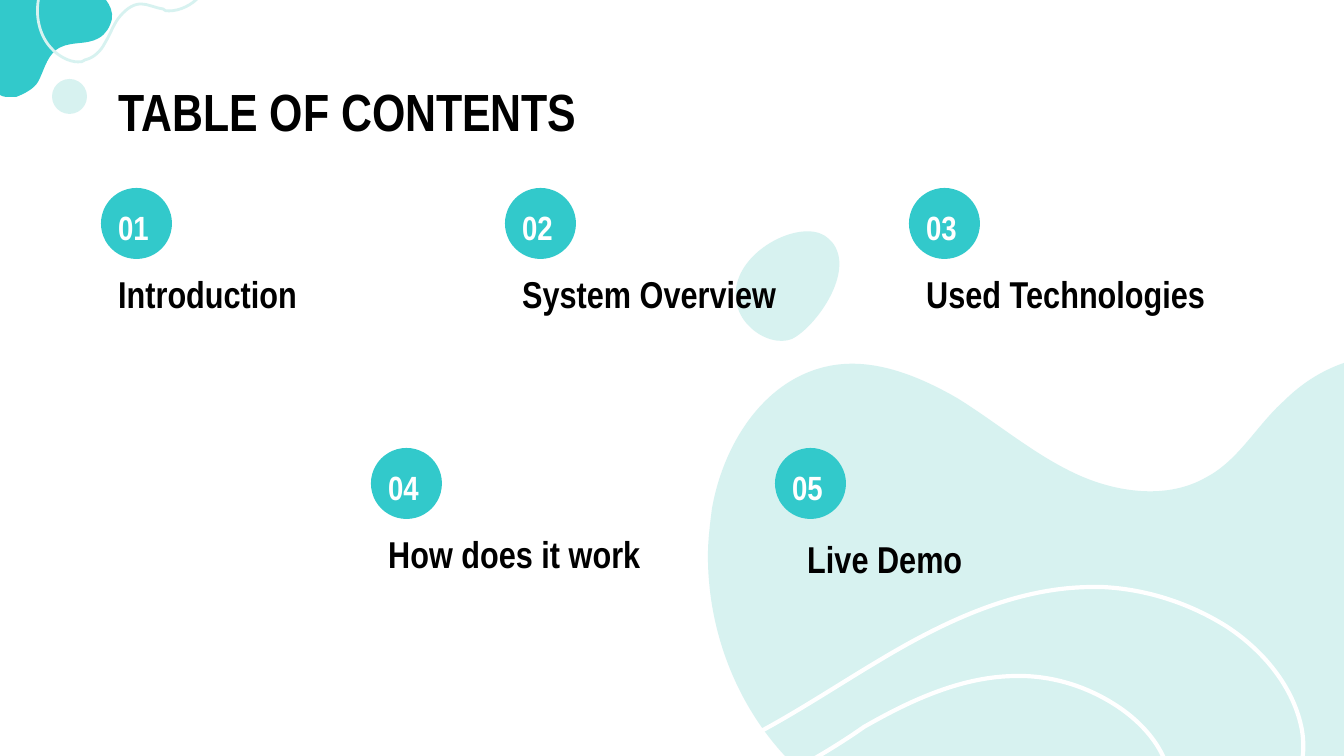
from dataclasses import dataclass

from pptx import Presentation
from pptx.dml.color import RGBColor
from pptx.enum.shapes import MSO_SHAPE as Shape
from pptx.enum.text import MSO_ANCHOR as Anchor, MSO_AUTO_SIZE as AutoSize, PP_ALIGN as Align
from pptx.oxml.ns import qn
from pptx.util import Inches, Pt

SCALE = Inches(10) / 1344  # EMU per px


@dataclass(frozen=True)
class Theme:
    font: str = "Arial Narrow"
    ink: str = "000000"
    white: str = "FFFFFF"
    teal: str = "32C9CB"
    mist: str = "D7F2F0"
    title_size: int = 28
    label_size: int = 20
    number_size: int = 18


THEME = Theme()

# Outlines: a start point, then one tuple per segment (2 values: line, 6: curve)
EGG = [
    (129, 39), (108, 18, 50, 43, 38, 80), (32, 98, 38, 116, 50, 127),
    (62, 139, 80, 144, 92, 139), (116, 127, 156, 71, 132, 42),
    (131, 41, 131, 41, 129, 39),
]
WAVE = [
    (8, 356), (8, 429, 35, 502, 85, 556), (644, 556), (644, 163),
    (621, 171, 601, 184, 584, 201), (557, 225, 539, 260, 507, 277),
    (468, 300, 416, 293, 374, 273), (332, 253, 296, 222, 257, 198),
    (217, 175, 170, 156, 125, 167), (62, 182, 23, 246, 12, 309),
    (10, 325, 8, 340, 8, 356),
]
RIPPLE = [
    (393, 387), (395, 387, 399, 387, 402, 387), (446, 389, 489, 403, 526, 426),
    (563, 450, 594, 487, 602, 530), (604, 542, 604, 554, 601, 566), (467, 566),
    (459, 541, 438, 519, 414, 504), (387, 487, 356, 477, 324, 476),
    (321, 476, 320, 476, 317, 476), (263, 476, 211, 500, 164, 527),
    (144, 541, 123, 554, 101, 566), (-17, 566),
    (54, 542, 116, 498, 180, 460), (245, 421, 317, 387, 393, 387),
]
CORNER_BLOB = [
    (106, 0), (110, 5, 113, 12, 112, 19), (110, 27, 106, 34, 99, 38),
    (86, 46, 67, 40, 55, 51), (46, 59, 44, 71, 38, 82),
    (34, 89, 24, 94, 16, 97), (13, 97, 12, 97, 11, 97),
    (7, 97, 3, 97, 0, 95), (0, 0),
]
SQUIGGLE = [
    (199, -3), (192, 5, 180, 11, 169, 11), (167, 11, 164, 11, 163, 9),
    (155, 8, 148, 4, 141, 4), (132, 4, 124, 11, 118, 19),
    (113, 26, 110, 35, 105, 43), (101, 51, 94, 58, 85, 60),
    (83, 62, 81, 62, 78, 62), (69, 62, 58, 56, 51, 48),
    (39, 35, 35, 15, 39, -3),
]


def px(n):
    return round(n * SCALE)


def paint(sp, fill=None, line=None, width=0):
    sp.shadow.inherit = False
    if fill:
        sp.fill.solid()
        sp.fill.fore_color.rgb = RGBColor.from_string(fill)
    else:
        sp.fill.background()
    if line:
        sp.line.color.rgb = RGBColor.from_string(line)
        sp.line.width = Pt(width)
    else:
        sp.line.fill.background()


def add_curve(s, x, y, outline, **style):
    """Closed freeform whose six-value segments become Bezier curves."""
    start, *segments = outline
    points = [seg[i:i + 2] for seg in segments for i in range(0, len(seg), 2)]
    builder = s.shapes.build_freeform(*start, scale=SCALE)
    builder.add_line_segments(points, close=True)
    sp = builder.convert_to_shape(px(x), px(y))

    steps = iter(sp._element.findall(".//" + qn("a:lnTo")))
    for seg in segments:
        step = next(steps)
        if len(seg) == 6:
            curve = step.makeelement(qn("a:cubicBezTo"))
            step.addprevious(curve)
            for node in (step, next(steps), next(steps)):
                curve.append(node[0])
                node.getparent().remove(node)
    paint(sp, **style)


def add_dot(s, x, y, size, color):
    sp = s.shapes.add_shape(Shape.OVAL, px(x), px(y), px(size), px(size))
    paint(sp, fill=color)


def write(sp, text, size, color, anchor=Anchor.TOP):
    tf = sp.text_frame
    tf.word_wrap = True
    tf.auto_size = AutoSize.NONE
    tf.vertical_anchor = anchor
    tf.margin_left = tf.margin_right = tf.margin_top = tf.margin_bottom = Inches(0.1)
    p = tf.paragraphs[0]
    p.text = text
    p.alignment = Align.LEFT
    p.font.name = THEME.font
    p.font.size = Pt(size)
    p.font.bold = True
    p.font.color.rgb = RGBColor.from_string(color)


def add_text(s, x, y, w, h, *args, **kwargs):
    write(s.shapes.add_textbox(px(x), px(y), px(w), px(h)), *args, **kwargs)


def add_waves(s, x, y):
    add_curve(s, x, y, EGG, fill=THEME.mist)
    add_curve(s, x, y, WAVE, fill=THEME.mist)
    add_curve(s, x, y, RIPPLE, line=THEME.white, width=2.25)


def add_corner(s, x, y):
    add_curve(s, x, y, CORNER_BLOB, fill=THEME.teal)
    add_curve(s, x, y, SQUIGGLE, line=THEME.mist, width=1.5)
    add_dot(s, x + 52, y + 79, 35, THEME.mist)


def add_title(s, x, y, w, h, text):
    sp = s.shapes.title
    sp.left, sp.top, sp.width, sp.height = map(px, (x, y, w, h))
    write(sp, text, THEME.title_size, THEME.ink)


def add_entry(s, x, y, number, label, shift=(0, 0)):
    add_dot(s, x, y, 71, THEME.teal)
    add_text(s, x + 4, y + 16, 65, 46, f"{number:02}", THEME.number_size,
             THEME.white, anchor=Anchor.MIDDLE)
    dx, dy = shift
    add_text(s, x + 4 + dx, y + 70 + dy, 328, 46, label, THEME.label_size, THEME.ink)


def add_contents(s, x, y):
    pitch_x, pitch_y = 404, 260
    # First row of three, then an indented row of two
    for i, label in enumerate(("Introduction", "System Overview", "Used Technologies")):
        add_entry(s, x + i * pitch_x, y, i + 1, label)
    second = (("How does it work", (0, 0)), ("Live Demo", (15, 5)))
    for i, (label, shift) in enumerate(second):
        add_entry(s, x + 270 + i * pitch_x, y + pitch_y, i + 4, label, shift)


def main():
    prs = Presentation()
    prs.slide_width, prs.slide_height = px(1344), px(756)
    s = prs.slides.add_slide(prs.slide_layouts[5])
    s.background.fill.solid()
    s.background.fill.fore_color.rgb = RGBColor.from_string(THEME.white)
    add_waves(s, 700, 200)
    add_corner(s, 0, 0)
    add_title(s, 105, 66, 1134, 85, "TABLE OF CONTENTS")
    add_contents(s, 101, 188)
    prs.save("out.pptx")


if __name__ == "__main__":
    main()
